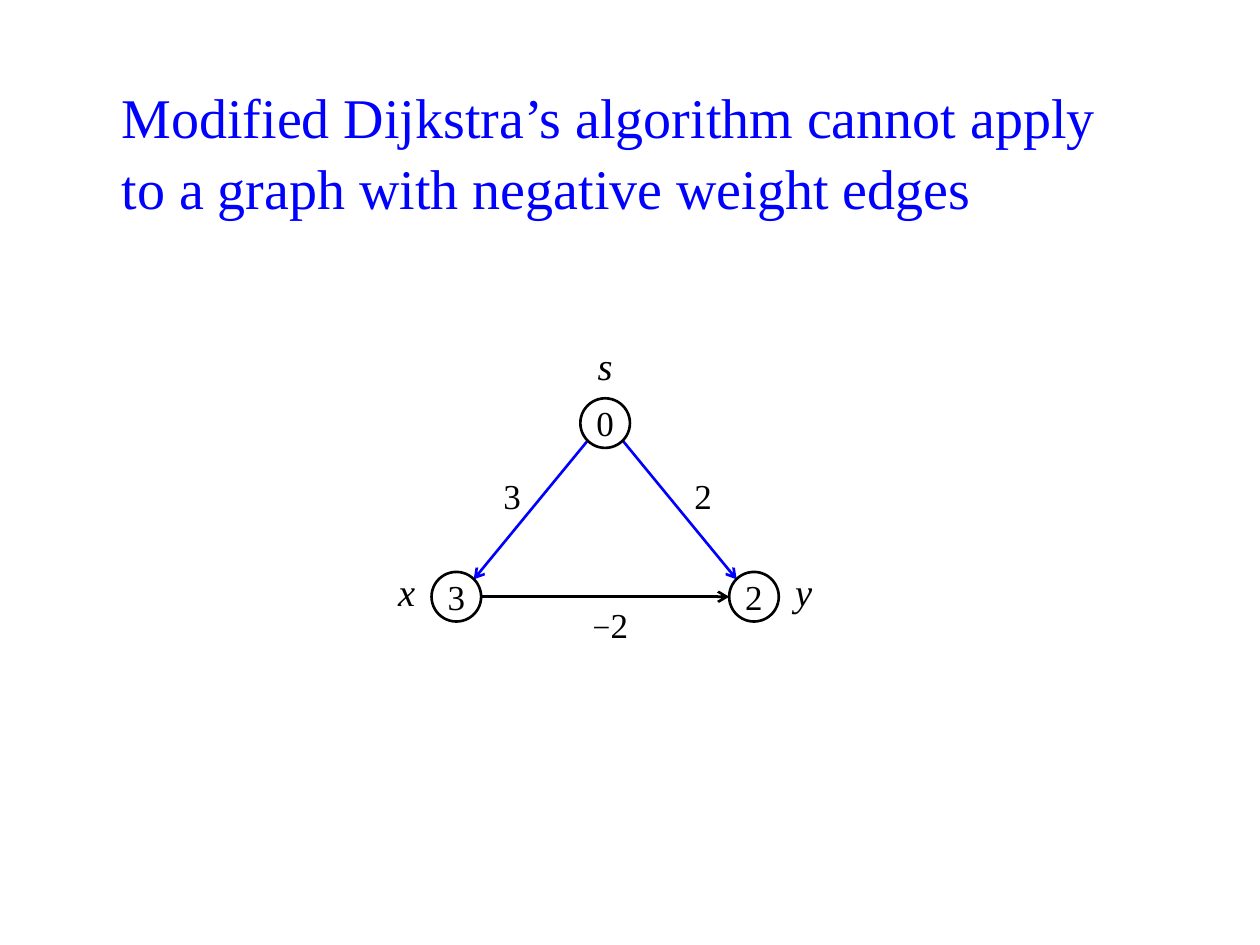
import pptx
import pptx.dml.color
import pptx.enum.shapes
import pptx.enum.text
import pptx.oxml
import pptx.oxml.ns
import pptx.util
from pptx.enum.text import MSO_ANCHOR, PP_ALIGN
from pptx.util import Cm

BLACK = pptx.dml.color.RGBColor(0x00, 0x00, 0x00)
BLUE = pptx.dml.color.RGBColor(0x00, 0x00, 0xFF)
WHITE = pptx.dml.color.RGBColor(0xFF, 0xFF, 0xFF)
FONT = "Times New Roman"

DIAMETER = 1.0
RADIUS = DIAMETER / 2
DIAGONAL = 0.35  # RADIUS projected at 45 degrees


def write(frame, *runs, color=BLACK, italic=False, align=PP_ALIGN.LEFT,
          anchor=MSO_ANCHOR.TOP, spacing=None, wrap=False,
          insets=(0.25, 0.13, 0.25, 0.13)):
    """Fill a text frame; runs are (text, points), insets left to bottom in cm."""
    frame.word_wrap = wrap
    frame.auto_size = pptx.enum.text.MSO_AUTO_SIZE.NONE
    frame.vertical_anchor = anchor
    (frame.margin_left, frame.margin_top,
     frame.margin_right, frame.margin_bottom) = map(Cm, insets)
    paragraph = frame.paragraphs[0]
    paragraph.alignment = align
    if spacing:
        paragraph.line_spacing = spacing
    for text, points in runs:
        run = paragraph.add_run()
        run.text = text
        run.font.name = FONT
        run.font.size = pptx.util.Pt(points)
        run.font.italic = italic
        run.font.color.rgb = color


class GraphSlide:
    line_width = pptx.util.Pt(1.5)

    def __init__(self, presentation):
        self.slide = presentation.slides.add_slide(presentation.slide_layouts[5])

    def title(self, text):
        title = self.slide.shapes.title
        title.left, title.top = Cm(2.2), Cm(1.52)
        title.width, title.height = Cm(21), Cm(3)
        write(title.text_frame, (text, 32), color=BLUE, wrap=True,
              anchor=MSO_ANCHOR.MIDDLE, spacing=1.05)

    def vertex(self, center, distance):
        x, y = center
        circle = self.slide.shapes.add_shape(
            pptx.enum.shapes.MSO_SHAPE.OVAL,
            Cm(x - RADIUS), Cm(y - RADIUS), Cm(DIAMETER), Cm(DIAMETER))
        circle.shadow.inherit = False
        circle.fill.solid()
        circle.fill.fore_color.rgb = WHITE
        circle.line.color.rgb = BLACK
        circle.line.width = self.line_width
        write(circle.text_frame, (distance, 20), align=PP_ALIGN.CENTER,
              anchor=MSO_ANCHOR.MIDDLE, spacing=0.7, insets=(0.25, 0.2, 0.25, 0))

    def edge(self, start, end, color):
        arrow = self.slide.shapes.add_connector(
            pptx.enum.shapes.MSO_CONNECTOR.STRAIGHT, *map(Cm, start + end))
        arrow.line.color.rgb = color
        arrow.line.width = self.line_width
        line = arrow.line._get_or_add_ln()
        head = pptx.oxml.parse_xml(
            f'<a:tailEnd {pptx.oxml.ns.nsdecls("a")} type="arrow"/>')
        line.append(head)
        effects = pptx.oxml.parse_xml(f'<a:effectLst {pptx.oxml.ns.nsdecls("a")}/>')
        line.addnext(effects)

    def label(self, left, top, *runs, height=DIAMETER, **style):
        box = self.slide.shapes.add_textbox(
            Cm(left), Cm(top), Cm(DIAMETER), Cm(height))
        write(box.text_frame, *runs, **style)

    def vertex_name(self, center, name, anchor):
        x, y = center
        self.label(x - RADIUS, y - RADIUS, (name, 22), italic=True,
                   align=PP_ALIGN.CENTER, anchor=anchor, spacing=0.7)

    def side_weight(self, left, weight, align):
        self.label(left, 9.02, (weight, 20), height=1.5, align=align,
                   anchor=MSO_ANCHOR.BOTTOM, insets=(0.3, 0.13, 0.2, 0.1))


def main():
    presentation = pptx.Presentation()
    presentation.slide_width, presentation.slide_height = Cm(25.4), Cm(19.05)
    graph = GraphSlide(presentation)
    graph.title("Modified Dijkstra’s algorithm cannot apply "
                "to a graph with negative weight edges")

    source_x, source_y = source = (12.2, 8.53)
    left_x, base_y = left = (9.2, 12.03)
    right_x, _ = right = (15.2, base_y)

    for side, (end_x, end_y) in ((-1, left), (1, right)):
        graph.edge((source_x + side * DIAGONAL, source_y + DIAGONAL),
                   (end_x - side * DIAGONAL, end_y - DIAGONAL), BLUE)
    graph.edge((left_x + RADIUS, base_y), (right_x - RADIUS, base_y), BLACK)

    for center, distance in ((source, "0"), (left, "3"), (right, "2")):
        graph.vertex(center, distance)

    graph.vertex_name((source_x, source_y - DIAMETER), "s", MSO_ANCHOR.TOP)
    graph.vertex_name((left_x - DIAMETER, base_y), "x", MSO_ANCHOR.MIDDLE)
    graph.vertex_name((right_x + DIAMETER, base_y), "y", MSO_ANCHOR.MIDDLE)

    graph.side_weight(left_x + RADIUS, "3", PP_ALIGN.RIGHT)
    graph.side_weight(right_x - RADIUS - DIAMETER, "2", PP_ALIGN.LEFT)
    graph.label(source_x - RADIUS, base_y, ("−", 18), ("2", 20))

    presentation.save("out.pptx")


if __name__ == "__main__":
    main()
